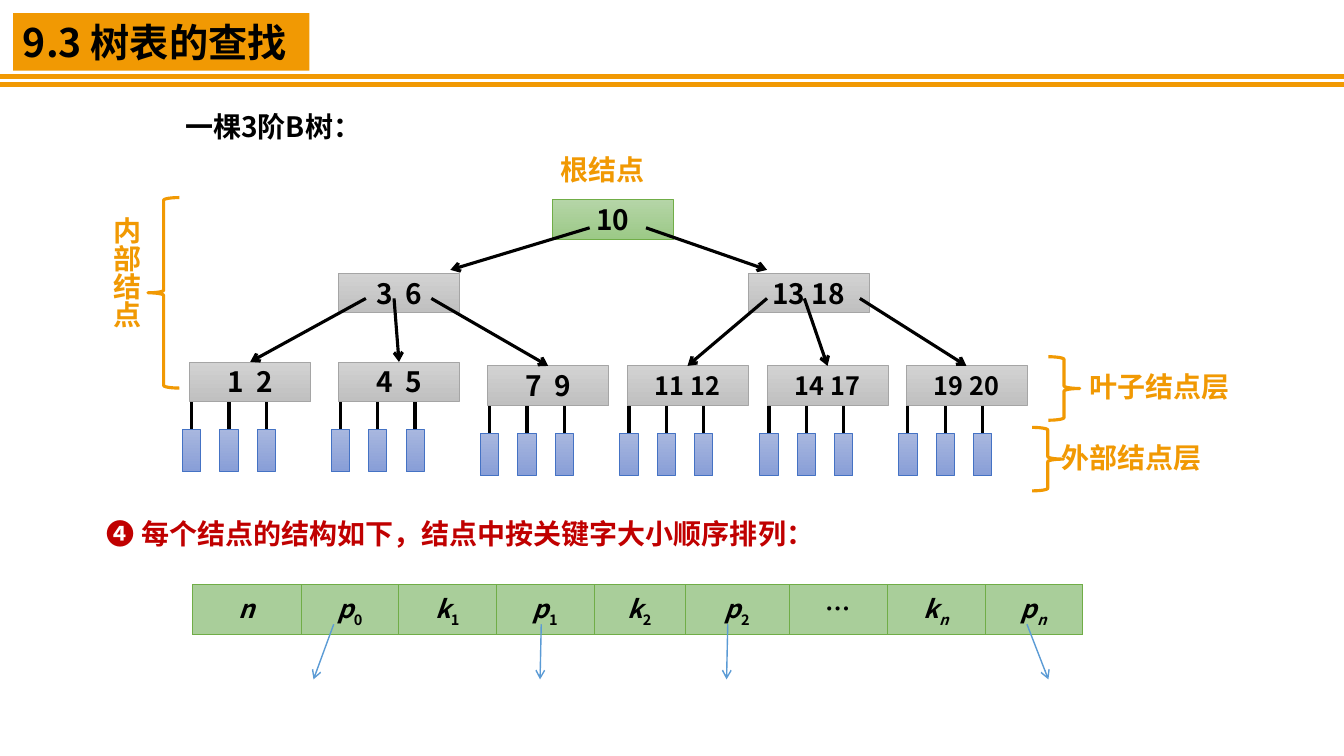
from dataclasses import dataclass
from typing import NamedTuple

from lxml.etree import SubElement
from pptx import Presentation
from pptx.dml.color import RGBColor
from pptx.enum.shapes import MSO_CONNECTOR, MSO_SHAPE
from pptx.enum.text import MSO_ANCHOR, PP_ALIGN
from pptx.oxml.ns import qn
from pptx.util import Cm, Pt


@dataclass(frozen=True)
class Theme:
    font: str = "Noto Sans CJK SC"
    title: int = 28
    body: int = 20
    small: int = 18
    ink: str = "000000"
    paper: str = "FFFFFF"
    accent: str = "F19903"
    emphasis: str = "C00000"
    pointer: str = "5B9BD5"
    field: str = "A9CE9A"
    green_line: str = "70AD47"
    root_fill: tuple = ("B5D5A7", "9CC987")
    node_fill: tuple = ("D2D2D2", "C0C0C0")
    node_line: str = "A5A5A5"
    external_fill: tuple = ("A8B7DF", "889ED7")
    external_line: str = "4472C4"


THEME = Theme()


class Box(NamedTuple):
    left: float
    top: float
    width: float
    height: float

    def inner(self, dx, dy, width, height):
        return Box(self.left + dx, self.top + dy, width, height)


def rgb(colour):
    return RGBColor.from_string(colour)


def apply(target, values):
    for name, value in values.items():
        setattr(target, name, value)


def write(frame, runs, size=THEME.body, colour=THEME.ink, align=PP_ALIGN.LEFT, **layout):
    """Fill a text frame with (text, run attributes) pairs."""
    apply(frame, {"word_wrap": True, **layout})
    paragraph = frame.paragraphs[0]
    paragraph.alignment = align
    for text, attributes in runs:
        run = paragraph.add_run()
        run.text = text
        apply(run.font, {"name": THEME.font, "size": Pt(size), "bold": True})
        run.font.color.rgb = rgb(colour)
        properties = run.font._element
        SubElement(properties, qn("a:ea"), typeface=THEME.font)
        for name, value in attributes.items():
            properties.set(name, value)


def add_block(slide, box, fill=None, line=None, weight=0.5, kind=MSO_SHAPE.RECTANGLE):
    block = slide.shapes.add_shape(kind, *map(Cm, box))
    block.shadow.inherit = False
    if fill is None:
        block.fill.background()
    elif isinstance(fill, tuple):
        block.fill.gradient()
        block.fill.gradient_angle = 270
        for stop, colour in zip(block.fill.gradient_stops, fill):
            stop.color.rgb = rgb(colour)
    else:
        block.fill.solid()
        block.fill.fore_color.rgb = rgb(fill)
    if line:
        block.line.color.rgb = rgb(line)
        block.line.width = Pt(weight)
    else:
        block.line.fill.background()
    return block


def add_line(slide, start, end, colour=THEME.ink, weight=2.25, arrow=False):
    line = slide.shapes.add_connector(MSO_CONNECTOR.STRAIGHT, *map(Cm, (*start, *end)))
    line.line.color.rgb = rgb(colour)
    line.line.width = Pt(weight)
    if arrow:
        SubElement(line.line._get_or_add_ln(), qn("a:tailEnd"), type="arrow")
    SubElement(line._element.spPr, qn("a:effectLst"))


def add_label(slide, box, text, fill=THEME.paper, **style):
    label = add_block(slide, box, fill)
    write(label.text_frame, [(text, {})], vertical_anchor=MSO_ANCHOR.TOP, **style)
    return label


def add_header(slide, box):
    add_label(slide, box.inner(0.33, 0.33, 7.47, 1.45), "9.3 树表的查找",
              THEME.accent, size=THEME.title)
    for rule in (1.93, 2.13):
        add_line(slide, (box.left, box.top + rule), (box.left + box.width, box.top + rule),
                 THEME.accent, 3)


# Tree
NODE_WIDTH, NODE_HEIGHT = 3.05, 1
ROOT = ("10", 9.14, 0)
BRANCHES = [("3 6", 3.75, 1.85), ("13 18", 14.07, 1.85)]
LEAVES = [
    [("1 2", 0, 4.09), ("4 5", 3.75, 4.09), ("7 9", 7.51, 4.19)],
    [("11 12", 11.02, 4.19), ("14 17", 14.55, 4.19), ("19 20", 18.05, 4.19)],
]
ROOT_EXITS, ROOT_ARRIVALS = (0.94, 2.36), (2.82, 0.48)
BRANCH_EXITS = [(0.69, 1.4, 2.34), (0.48, 1.42, 2.82)]


def add_node(slide, box, keys, size=THEME.body, fill=THEME.node_fill, line=THEME.node_line):
    node = add_block(slide, box, fill, line)
    # Single digits stand further apart
    gap = {"spc": "450"} if len(keys) == 3 else {}
    runs = [(part, gap if part == " " else {}) for part in keys.partition(" ") if part]
    write(node.text_frame, runs, size, align=PP_ALIGN.CENTER,
          vertical_anchor=MSO_ANCHOR.MIDDLE, margin_left=0, margin_right=0)


def add_external_nodes(slide, leaf):
    for index in range(3):
        external = leaf.inner(-0.18 + 0.94 * index, 1.7, 0.46, 1.07)
        middle = external.left + external.width / 2
        add_line(slide, (middle, leaf.top + 0.81), (middle, external.top))
        add_block(slide, external, THEME.external_fill, THEME.external_line)


def add_tree(slide, box):
    def place(node):
        return box.inner(*node[1:], NODE_WIDTH, NODE_HEIGHT)

    leaves = [leaf for family in LEAVES for leaf in family]
    for leaf in leaves:
        add_external_nodes(slide, place(leaf))
    add_node(slide, place(ROOT), ROOT[0], fill=THEME.root_fill, line=THEME.green_line)
    for node in leaves + BRANCHES:
        crowded = node in LEAVES[1]
        add_node(slide, place(node), node[0], THEME.small if crowded else THEME.body)

    # Links from parents to children
    root = place(ROOT)
    for branch, leaving, arriving in zip(BRANCHES, ROOT_EXITS, ROOT_ARRIVALS):
        child = place(branch)
        add_line(slide, (root.left + leaving, root.top + 0.71),
                 (child.left + arriving, child.top - 0.08), arrow=True)
    for branch, family, exits in zip(BRANCHES, LEAVES, BRANCH_EXITS):
        parent = place(branch)
        for leaf, leaving in zip(family, exits):
            child = place(leaf)
            add_line(slide, (parent.left + leaving, parent.top + 0.64),
                     (child.left + NODE_WIDTH / 2, child.top), arrow=True)


def add_layer_mark(slide, box, text, label_shift):
    add_label(slide, box.inner(label_shift, 0.2, 6, 1.12), text, colour=THEME.accent)
    add_block(slide, box, line=THEME.accent, weight=2.25, kind=MSO_SHAPE.RIGHT_BRACE)


def add_inner_mark(slide, box):
    add_block(slide, box.inner(1.37, 0, 0.79, box.height), line=THEME.accent,
              weight=2.25, kind=MSO_SHAPE.LEFT_BRACE)
    label = add_label(slide, box.inner(0, 0.23, 1.37, 4.17), "内部结点", None,
                      colour=THEME.accent)
    label.text_frame._txBody.bodyPr.set("vert", "eaVert")


# Node structure
FIELDS = [("n", "", 2.74), ("p", "0", 2.46), ("k", "1", 2.46), ("p", "1", 2.46),
          ("k", "2", 2.29), ("p", "2", 2.64), ("…", "", 2.46), ("k", "n", 2.46),
          ("p", "n", 2.46)]
POINTERS = [(3.56, 3.05), (8.79, 8.76), (13.49, 13.46), (21.03, 21.57)]


def style_cell(cell):
    cell.fill.solid()
    cell.fill.fore_color.rgb = rgb(THEME.field)
    properties = cell._tc.get_or_add_tcPr()
    for index, side in enumerate(("lnL", "lnR", "lnT", "lnB")):
        border = SubElement(properties, qn(f"a:{side}"), w=str(Pt(0.5)))
        SubElement(SubElement(border, qn("a:solidFill")), qn("a:srgbClr"), val=THEME.green_line)
        properties.insert(index, border)


def add_structure(slide, box):
    structure = slide.shapes.add_table(1, len(FIELDS), *map(Cm, box)).table
    apply(structure, {"first_row": False, "horz_banding": False})
    structure.rows[0].height = Cm(box.height)
    for column, cell, (letter, index, width) in zip(
            structure.columns, structure.rows[0].cells, FIELDS):
        column.width = Cm(width)
        style_cell(cell)
        runs = [(letter, {"i": "0" if letter == "…" else "1"})]
        if index:
            runs.append((index, {"i": "1" if index == "n" else "0", "baseline": "-25000"}))
        write(cell.text_frame, runs, THEME.small, align=PP_ALIGN.CENTER)
    for start, end in POINTERS:
        add_line(slide, (box.left + start, box.top + 1), (box.left + end, box.top + 2.39),
                 THEME.pointer, 1, arrow=True)


def main():
    deck = Presentation()
    apply(deck, {"slide_width": Cm(33.87), "slide_height": Cm(19.05)})
    slide = deck.slides.add_slide(deck.slide_layouts[6])
    add_header(slide, Box(0, 0, 33.87, 2.2))
    add_label(slide, Box(4.42, 2.64, 8.86, 1.12), "一棵3阶B树：", None)
    add_label(slide, Box(13.87, 3.71, 4.17, 1.12), "根结点", colour=THEME.accent)
    add_tree(slide, Box(4.78, 5.03, 21.1, 6.96))
    add_layer_mark(slide, Box(26.42, 8.99, 0.79, 1.6), "叶子结点层", 0.79)
    add_layer_mark(slide, Box(26.01, 10.77, 0.79, 1.6), "外部结点层", 0.48)
    add_inner_mark(slide, Box(2.36, 4.98, 2.16, 4.8))
    add_label(slide, Box(2.44, 12.9, 24.51, 1.15),
              "❹ 每个结点的结构如下，结点中按关键字大小顺序排列：", colour=THEME.emphasis)
    add_structure(slide, Box(4.85, 14.73, 22.53, 1.19))
    deck.save("out.pptx")


if __name__ == "__main__":
    main()
